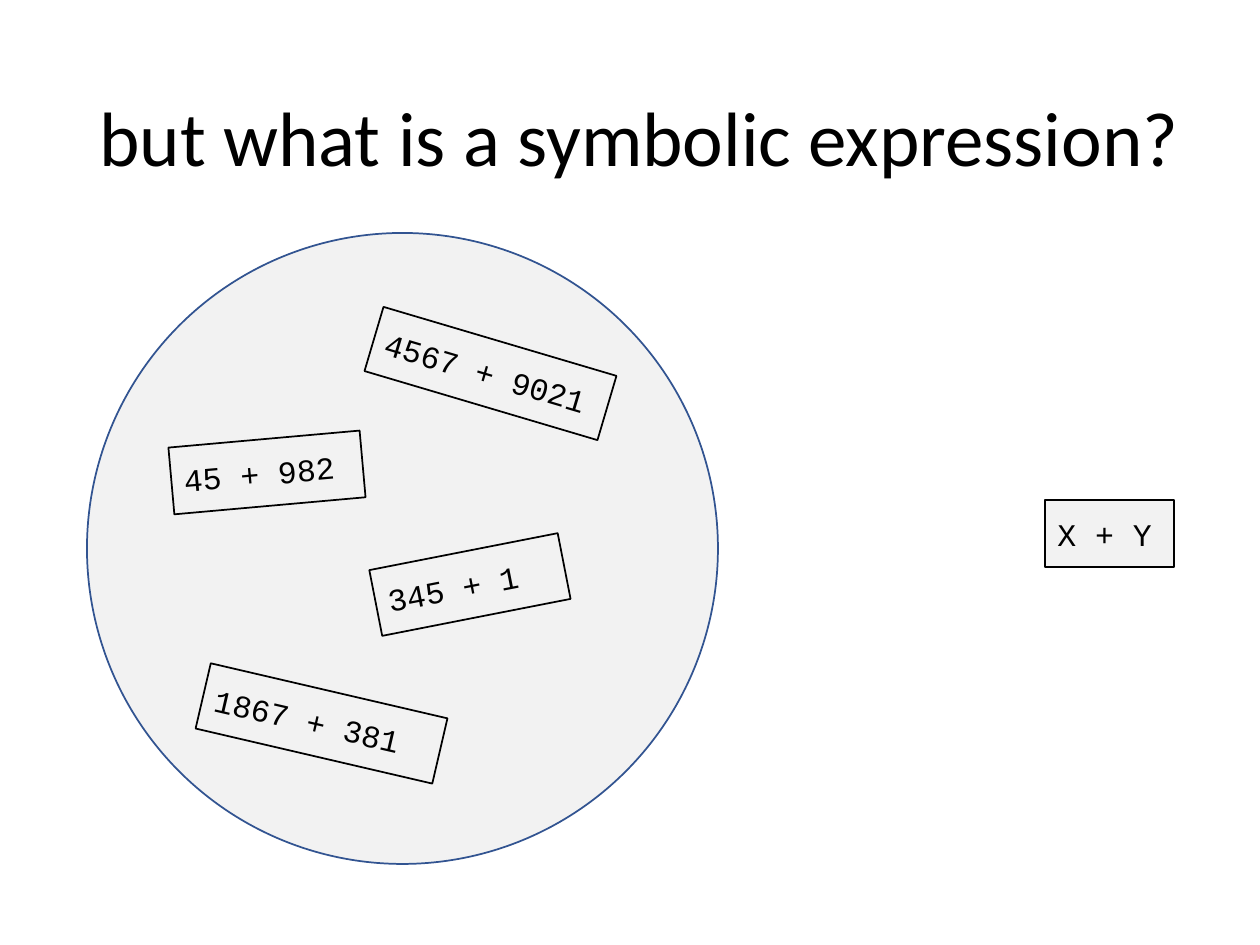
from pptx import Presentation
from pptx.dml.color import RGBColor
from pptx.enum.shapes import MSO_SHAPE
from pptx.enum.text import MSO_ANCHOR, PP_ALIGN
from pptx.util import Pt

OVAL, RECTANGLE = MSO_SHAPE.OVAL, MSO_SHAPE.RECTANGLE
MIDDLE, LEFT = MSO_ANCHOR.MIDDLE, PP_ALIGN.LEFT

PX_PER_INCH = 126
SCALE = 914400 / PX_PER_INCH
COLORS = {"text": "000000", "fill": "F2F2F2", "circle": "325491", "box": "000000"}
BOX_HEIGHT = 67


def emu(px):
    return round(px * SCALE)


def color(name):
    return RGBColor.from_string(COLORS[name])


class SlideBuilder:
    title_font, title_size = "Calibri", 44
    code_font, code_size = "Courier New", 18

    def __init__(self, slide):
        self.slide = slide

    def set_text(self, shape, text, font, size):
        frame = shape.text_frame
        frame.word_wrap = True
        frame.vertical_anchor = MIDDLE
        frame.text = text
        paragraph = frame.paragraphs[0]
        paragraph.alignment = LEFT
        paragraph.font.name = font
        paragraph.font.size = Pt(size)
        paragraph.font.color.rgb = color("text")
        return paragraph

    def title(self, text, *bounds):
        shape = self.slide.shapes.add_textbox(*map(emu, bounds))
        paragraph = self.set_text(shape, text, self.title_font, self.title_size)
        paragraph.line_spacing = 0.9

    def outline(self, kind, line, *bounds):
        shape = self.slide.shapes.add_shape(kind, *map(emu, bounds))
        shape.shadow.inherit = False
        shape.fill.solid()
        shape.fill.fore_color.rgb = color("fill")
        shape.line.color.rgb = color(line)
        shape.line.width = Pt(1)
        return shape

    def circle(self, left, top, diameter):
        self.outline(OVAL, "circle", left, top, diameter, diameter)

    def expression(self, text, left, top, width, rotation=0):
        shape = self.outline(RECTANGLE, "box", left, top, width, BOX_HEIGHT)
        shape.rotation = rotation
        self.set_text(shape, text, self.code_font, self.code_size)


def main():
    presentation = Presentation()
    presentation.slide_width = emu(10 * PX_PER_INCH)
    presentation.slide_height = emu(7.5 * PX_PER_INCH)
    builder = SlideBuilder(presentation.slides.add_slide(presentation.slide_layouts[6]))

    # Title
    builder.title("but what is a symbolic expression?", 87, 50, 1173, 183)

    # Set of concrete expressions
    builder.circle(87, 233, 631)
    for text, left, top, width, rotation in (
        ("1867 + 381", 200, 690, 243, 13.1),
        ("45 + 982", 171, 439, 192, -5.1),
        ("345 + 1", 374, 551, 192, -11.1),
        ("4567 + 9021", 369, 340, 243, 16.5),
    ):
        builder.expression(text, left, top, width, rotation)

    # Symbolic expression
    builder.expression("X + Y", 1045, 500, 129)

    presentation.save("out.pptx")


if __name__ == "__main__":
    main()
